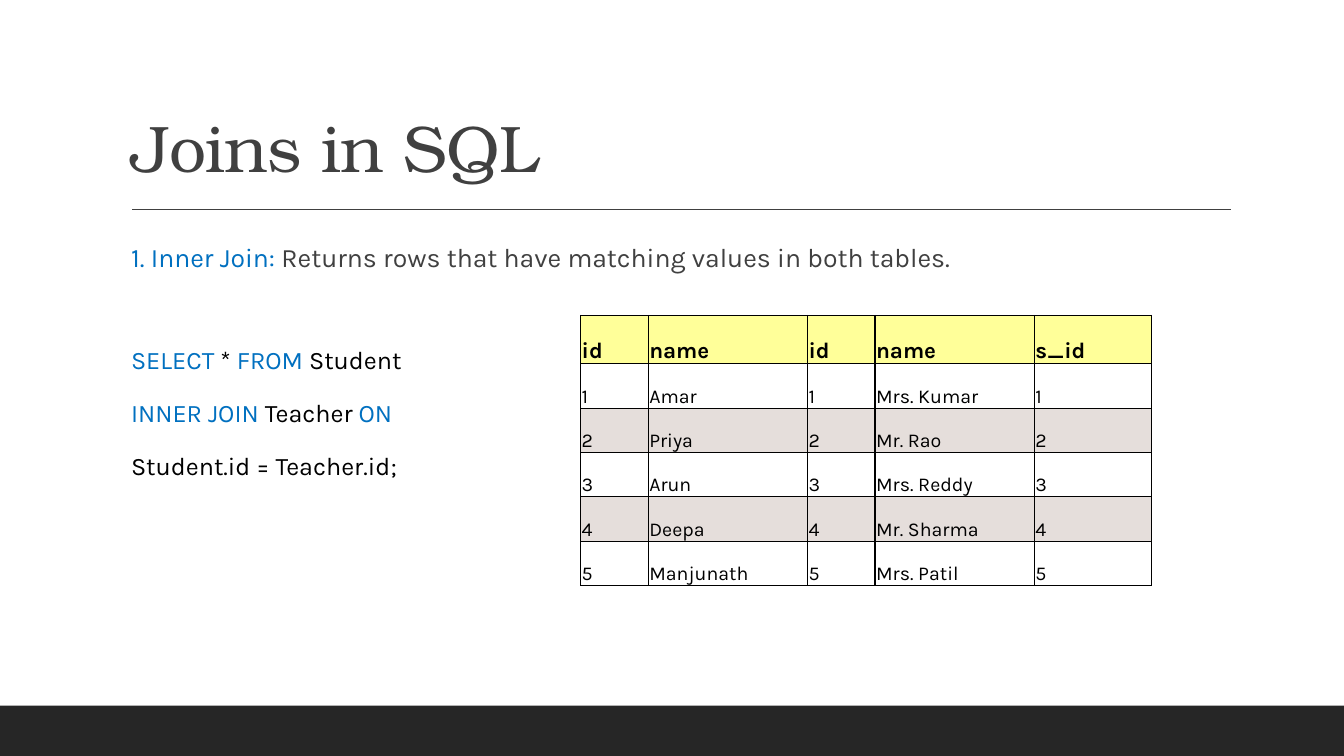
from lxml.etree import SubElement
from pptx import Presentation
from pptx.dml.color import RGBColor
from pptx.enum.shapes import MSO_CONNECTOR, MSO_SHAPE
from pptx.enum.text import MSO_ANCHOR, PP_ALIGN
from pptx.oxml.ns import qn
from pptx.util import Inches, Pt

COLORS = {
    "band": "262626",
    "gray": "404040",
    "keyword": "0070C0",
    "black": "000000",
    "header": "FFFF99",
    "stripe": "E5DEDB",
}
TITLE_FONT = "TeX Gyre Bonum"
BODY_FONT = "Karla"

DEFINITION = [[
    ("1. Inner Join: ", "keyword"),
    ("Returns rows that have matching values in both tables.", "gray"),
]]
QUERY = [
    [("SELECT ", "keyword"), ("* ", "black"), ("FROM ", "keyword"), ("Student", "black")],
    [("INNER JOIN ", "keyword"), ("Teacher", "black"), (" ON", "keyword")],
    [("Student.id = Teacher.id;", "black")],
]
HEADERS = ["id", "name", "id", "name", "s_id"]
STUDENTS = ["Amar", "Priya", "Arun", "Deepa", "Manjunath"]
TEACHERS = ["Mrs. Kumar", "Mr. Rao", "Mrs. Reddy", "Mr. Sharma", "Mrs. Patil"]
COLUMN_WIDTHS = [0.67, 1.58, 0.67, 1.58, 1.16]
HEADER_HEIGHT = 0.48
ROW_HEIGHT = 0.44


def rgb(name):
    return RGBColor.from_string(COLORS[name])


def add_run(paragraph, text, color="black", size=18, font=BODY_FONT, bold=False, tracking=None):
    run = paragraph.add_run()
    run.text = text
    run.font.name = font
    run.font.size = Pt(size)
    run.font.bold = bold
    run.font.color.rgb = rgb(color)
    if tracking is not None:
        run.font._element.set("spc", str(round(tracking * 100)))


def add_title(slide, text):
    title = slide.shapes.title
    title.left, title.top = Inches(1.2), Inches(0.31)
    title.width, title.height = Inches(11), Inches(1.59)
    title.text_frame.vertical_anchor = MSO_ANCHOR.BOTTOM
    paragraph = title.text_frame.paragraphs[0]
    paragraph.alignment = PP_ALIGN.LEFT
    paragraph.line_spacing = 0.9
    add_run(paragraph, text, color="gray", size=47, font=TITLE_FONT, tracking=-0.5)


def add_bottom_band(slide):
    band = slide.shapes.add_shape(
        MSO_SHAPE.RECTANGLE, 0, Inches(7), Inches(13.33), Inches(0.5))
    band.shadow.inherit = False
    band.fill.solid()
    band.fill.fore_color.rgb = rgb("band")
    band.line.fill.background()


def add_title_rule(slide):
    rule = slide.shapes.add_connector(
        MSO_CONNECTOR.STRAIGHT, Inches(1.31), Inches(2.08), Inches(12.21), Inches(2.08))
    rule.line.color.rgb = rgb("gray")
    rule.line.width = Pt(1)
    SubElement(rule._element.spPr, qn("a:effectLst"))


def add_lines(slide, lines, top, width, height, size):
    box = slide.shapes.add_textbox(Inches(1.3), Inches(top), Inches(width), Inches(height))
    frame = box.text_frame
    frame.word_wrap = True
    frame.margin_left = frame.margin_right = 0
    for index, line in enumerate(lines):
        paragraph = frame.add_paragraph() if index else frame.paragraphs[0]
        paragraph.line_spacing = 1.1
        paragraph.space_before = Pt(12 if index else 0)
        paragraph.space_after = Pt(2)
        for text, color in line:
            add_run(paragraph, text, color=color, size=size)


def add_borders(cell):
    properties = cell._tc.get_or_add_tcPr()
    for side in ("lnL", "lnR", "lnT", "lnB"):
        border = SubElement(properties, qn(f"a:{side}"), w=str(Pt(1)))
        fill = SubElement(border, qn("a:solidFill"))
        SubElement(fill, qn("a:srgbClr"), val=COLORS["black"])


def fill_cell(cell, text, fill, size, bold):
    cell.margin_left = cell.margin_right = cell.margin_top = Inches(0.01)
    cell.margin_bottom = 0
    cell.vertical_anchor = MSO_ANCHOR.BOTTOM
    add_borders(cell)
    if fill:
        cell.fill.solid()
        cell.fill.fore_color.rgb = rgb(fill)
    else:
        cell.fill.background()
    add_run(cell.text_frame.paragraphs[0], text, size=size, bold=bold)


def add_join_result(slide):
    pairs = enumerate(zip(STUDENTS, TEACHERS), start=1)
    records = [HEADERS] + [
        [str(key), student, str(key), teacher, str(key)] for key, (student, teacher) in pairs]
    heights = [HEADER_HEIGHT] + [ROW_HEIGHT] * len(STUDENTS)
    result = slide.shapes.add_table(
        len(records), len(HEADERS), Inches(5.76), Inches(3.13),
        Inches(sum(COLUMN_WIDTHS)), Inches(sum(heights))).table
    result.horz_banding = False
    for column, width in zip(result.columns, COLUMN_WIDTHS):
        column.width = Inches(width)
    for index, (record, height) in enumerate(zip(records, heights)):
        result.rows[index].height = Inches(height)
        is_header = index == 0
        fill = "header" if is_header else "stripe" if index % 2 == 0 else None
        for cell, text in zip(result.rows[index].cells, record):
            fill_cell(cell, text, fill, size=16 if is_header else 14, bold=is_header)


def main():
    deck = Presentation()
    deck.slide_width, deck.slide_height = Inches(13.33), Inches(7.5)
    slide = deck.slides.add_slide(deck.slide_layouts[5])
    add_bottom_band(slide)
    add_title_rule(slide)
    add_title(slide, "Joins in SQL")
    add_lines(slide, DEFINITION, top=2.31, width=10.9, height=0.5, size=19)
    add_lines(slide, QUERY, top=3.34, width=4.2, height=1.7, size=18)
    add_join_result(slide)
    deck.save("out.pptx")


if __name__ == "__main__":
    main()
